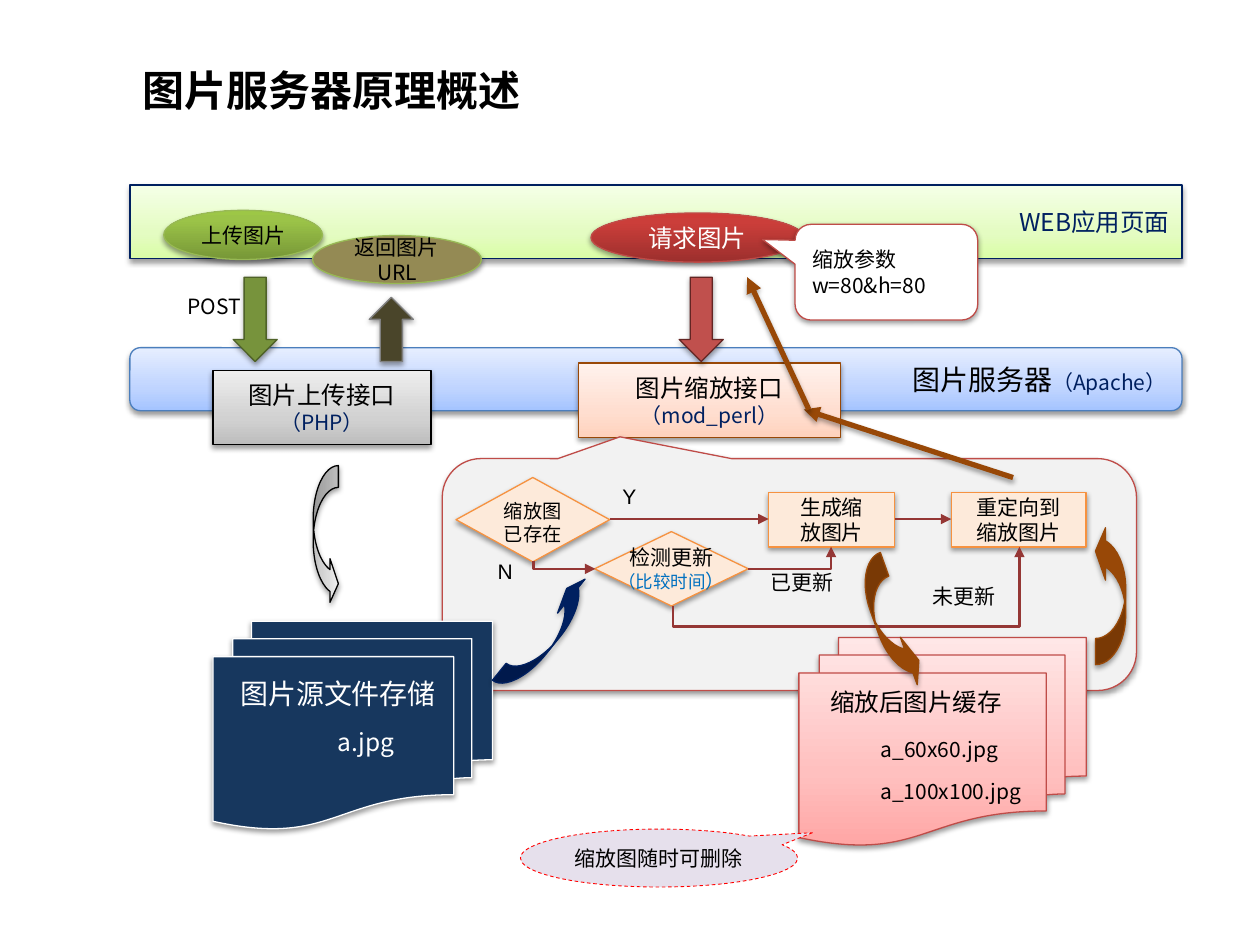
from copy import deepcopy
from typing import NamedTuple, Optional, Union

from lxml import etree
from pptx import Presentation
from pptx import util as u
from pptx.dml import color as dye
from pptx.enum import dml, shapes, text
from pptx.oxml import ns

Kind = shapes.MSO_SHAPE
Align = text.PP_ALIGN
Paint = Union[str, tuple]


class Theme(NamedTuple):
    """Colours, gradients (position, colour), faces and type sizes."""
    black: str = "000000"
    white: str = "FFFFFF"
    navy: str = "002060"
    blue: str = "0070C0"
    red: str = "BF4C48"
    wine: str = "953735"
    brown: str = "984807"
    cream: str = "FDEADA"
    amber: str = "F69240"
    olive: str = "98B955"
    sky: tuple = ((0, "A4C4FF"), (35, "BFD4FF"), (100, "E6EEFF"))
    peach: tuple = ((0, "FFD2BD"), (35, "FFDED0"), (100, "FFF2ED"))
    steel: tuple = ((0, "BDBDBD"), (35, "D1D1D1"), (100, "EEEEEE"))
    rose: tuple = ((0, "FFA6A5"), (35, "FFC0BF"), (100, "FFE7E7"))
    lime: tuple = ((0, "DAFDA7"), (35, "E4FCC2"), (100, "F5FFE7"))
    leaf: tuple = ((0, "779737"), (80, "9BC348"), (100, "9DC746"))
    blood: tuple = ((0, "9C2F2D"), (80, "CB3E3A"), (100, "CE3B37"))
    sans: str = "Noto Sans CJK SC"
    arial: str = "Arial"
    plain: str = "Calibri"
    title: int = 24
    head: int = 16
    mid: int = 14
    base: int = 12
    note: int = 11
    tiny: int = 10


T = Theme()


class Bit(NamedTuple):
    words: str
    size: int = T.base
    tint: str = T.black
    face: str = T.sans
    bold: bool = False
    join: bool = False


class Box(NamedTuple):
    """A shape, or a text box when kind is None."""
    at: tuple
    kind: Optional[Kind] = None
    fill: Paint = T.white
    edge: str = T.black
    bits: tuple = ()
    align: Align = Align.CENTER
    turn: float = 0
    bends: tuple = ()
    wrap: bool = True
    dash: bool = False


class Wire(NamedTuple):
    """A line with an arrowhead; bent when prst names a bent connector."""
    ends: tuple
    tint: str = T.wine
    width: float = 1.5
    prst: str = ""
    turn: int = 0
    flips: str = ""
    bend: Optional[int] = None


def tag(x: float, y: float, w: float, h: float, *bits: Bit,
        align: Align = Align.LEFT, wrap: bool = False) -> Box:
    return Box((x, y, w, h), bits=bits, align=align, wrap=wrap)


def curl(x: float, y: float, h: float, turn: float, paint: Paint, edge: str) -> Box:
    return Box((x, y, 79.9, h), Kind.CURVED_UP_ARROW, paint, edge,
               turn=turn, bends=(0.866, 1.732, 0.333))


def step(x: float, w: float, *lines: str) -> Box:
    return Box((x, 281.5, w, 31), Kind.FLOWCHART_PROCESS, T.cream, T.amber,
               tuple(Bit(line, face=T.arial) for line in lines))


def test(x: float, y: float, h: float) -> Box:
    return Box((x, y, 87.8, h), Kind.FLOWCHART_DECISION, T.cream, T.amber)


def mark(x: float, y: float, w: float, words: str) -> Box:
    return tag(x, y, w, 21.6, Bit(words, face=T.arial))


PARTS = [
    Box((74.2, 198.7, 601.2, 36), Kind.ROUNDED_RECTANGLE, T.sky, "4B7EBC",
        (Bit("图片服务器", T.head), Bit("（Apache）", tint=T.navy, join=True)), Align.RIGHT),
    Box((330.5, 207.4, 149.8, 42.5), Kind.RECTANGLE, T.peach, T.brown,
        (Bit("图片缩放接口", T.mid), Bit("（mod_perl）", tint=T.navy))),
    Box((252.7, 262.1, 396.7, 132.5), Kind.ROUNDED_RECTANGULAR_CALLOUT, "F2F2F2", T.red,
        bends=(-0.244, -0.594, 0.167)),
    Box((121.7, 211.7, 124.6, 42.5), Kind.RECTANGLE, T.steel, T.black,
        (Bit("图片上传接口", T.mid), Bit("（PHP）", tint=T.navy))),
    Box((456.5, 364.3, 164.2, 118.8), Kind.FLOWCHART_MULTIDOCUMENT, T.rose, T.red),
    Box((121.7, 355, 159.8, 118.8), Kind.FLOWCHART_MULTIDOCUMENT, "17375E", T.white),
    tag(74.2, 33.1, 512.6, 36, Bit("图片服务器原理概述", T.title, face=T.plain, bold=True), wrap=True),
    tag(130.3, 383, 127.4, 26.6, Bit("图片源文件存储", T.head, T.white)),
    Box((74.2, 105.8, 601.2, 41.8), Kind.RECTANGLE, T.lime, T.navy,
        (Bit("WEB应用页面", T.mid, T.navy),), Align.RIGHT),
    tag(467.3, 388.8, 113.8, 24.5, Bit("缩放后图片缓存", T.mid)),
    tag(496.1, 441.4, 96.5, 21.6, Bit("a_100x100.jpg")),
    tag(185.8, 411.8, 47.5, 24.5, Bit("a.jpg", T.mid, T.white)),
    tag(496.1, 417.6, 82.8, 21.6, Bit("a_60x60.jpg")),
    Box((93.6, 120.2, 90.7, 28.1), Kind.OVAL, T.leaf, T.olive, (Bit("上传图片"),)),
    Box((178.6, 134.6, 96.5, 27.4), Kind.OVAL, "948A54", T.olive, (Bit("返回图片URL"),)),
    curl(146.2, 298.8, 14.4, 90, T.steel, T.black),
    tag(100.1, 164.2, 45.4, 21.6, Bit("POST")),
    Box((211, 169.9, 25.2, 36.7), Kind.DOWN_ARROW, "4A452A", "808080", turn=180),
    Box((133.2, 158.4, 25.2, 48.2), Kind.DOWN_ARROW, "77933C", "4F6228"),
    Box((388.1, 158.4, 25.2, 48.2), Kind.DOWN_ARROW, "C0504D", "632523"),
    Box((337.7, 121.7, 121.7, 28.1), Kind.OVAL, T.blood, T.red, (Bit("请求图片", T.mid, T.white),)),
    Box((454.3, 128.2, 104.4, 54.7), Kind.ROUNDED_RECTANGULAR_CALLOUT, T.white, T.red,
        (Bit("缩放参数"), Bit("w=80&h=80")), Align.LEFT, bends=(-0.678, -0.341, 0.167)),
    step(439.2, 72, "生成缩", "放图片"),
    test(260.6, 272.9, 48.2),
    tag(280.8, 281.5, 47.5, 33.8, Bit("缩放图", T.note, face=T.plain),
        Bit("已存在", T.note, face=T.plain), align=Align.CENTER),
    test(339.8, 303.8, 42.5),
    tag(345.6, 307.4, 76.3, 36, Bit("检测更新", face=T.arial), Bit("（比较时间", T.tiny, T.blue, T.arial),
        Bit("）", T.note, T.blue, T.arial, join=True), align=Align.CENTER, wrap=True),
    step(543.6, 77, "重定向到", "缩放图片"),
    Wire((348.5, 296.6, 439.2, 296.6)),
    Wire((320.4, 305.3, 324.7, 340.6), prst="bentConnector2", turn=270, flips="H"),
    Wire((427.7, 312.5, 474.9, 325.1), prst="bentConnector2", flips="V"),
    Wire((466.6, 230.4, 500.4, 428.4), prst="bentConnector3", turn=90, flips="HV", bend=-34500),
    Wire((511.2, 296.6, 543.6, 296.6)),
    curl(272.2, 355, 14.4, 309, T.navy, T.navy),
    mark(348.5, 272.9, 20.9, "Y"),
    mark(277.2, 315.4, 20.9, "N"),
    mark(525.6, 329.8, 51.1, "未更新"),
    mark(433.4, 321.8, 51.1, "已更新"),
    curl(594.7, 331.2, 17.3, 270, T.brown, T.brown),
    curl(468.7, 347.8, 16.6, 70.4, T.brown, T.brown),
    Box((297.4, 473.8, 158.4, 33.1), Kind.OVAL_CALLOUT, "E6E0EC", "FF0000",
        (Bit("缩放图随时可删除"),), bends=(0.554, -0.438), dash=True),
    Wire((578.9, 272.9, 459.4, 234), T.brown, 3),
    Wire((462.2, 234, 427, 158.4), T.brown, 3),
]


def rgb(code: str) -> dye.RGBColor:
    return dye.RGBColor.from_string(code)


def add(host, label: str, /, **attrs):
    return etree.SubElement(host, ns.qn(label), {k: str(v) for k, v in attrs.items()})


def shade(effects) -> None:
    cast = add(effects, "a:outerShdw", blurRad=u.Pt(3.1), dist=u.Pt(1.6), dir=5400000, rotWithShape=0)
    add(add(cast, "a:srgbClr", val=T.black), "a:alpha", val=38000)


def fill(shape, paint: Paint) -> None:
    if isinstance(paint, str):
        shape.fill.solid()
        shape.fill.fore_color.rgb = rgb(paint)
        return
    shape.fill.gradient()
    shape.fill.gradient_angle = 90
    stops = shape._element.spPr.find(".//" + ns.qn("a:gsLst"))
    stops.append(deepcopy(stops[-1]))
    for stop, (place, tint) in zip(shape.fill.gradient_stops, paint):
        stop.position, stop.color.rgb = place / 100, rgb(tint)


def write(para, words: str, *, size: int, tint: str, face: str, bold: bool) -> None:
    run = para.add_run()
    run.text, font = words, run.font
    font.size, font.bold, font.name = u.Pt(size), bold, face
    font.color.rgb = rgb(tint)
    add(font._element, "a:ea", typeface=T.sans)


def style(shape, box: Box) -> None:
    for i, bend in enumerate(box.bends):
        shape.adjustments[i] = bend
    shape.rotation = box.turn
    fill(shape, box.fill)
    shape.line.color.rgb = rgb(box.edge)
    shape.line.width = u.Pt(0.5 if box.dash else 0.75)
    shape.shadow.inherit = False
    if box.dash:
        shape.line.dash_style = dml.MSO_LINE.DASH
    else:
        shade(shape._element.spPr.find(ns.qn("a:effectLst")))
    shape.text_frame.vertical_anchor = text.MSO_ANCHOR.MIDDLE


def draw(page, box: Box) -> None:
    at = [u.Pt(n) for n in box.at]
    if box.kind is None:
        shape = page.shapes.add_textbox(*at)
        shape.text_frame.auto_size = text.MSO_AUTO_SIZE.SHAPE_TO_FIT_TEXT
    else:
        shape = page.shapes.add_shape(box.kind, *at)
        style(shape, box)
    frame = shape.text_frame
    frame.word_wrap = box.wrap
    para = frame.paragraphs[0]
    for i, bit in enumerate(box.bits):
        if i and not bit.join:
            para = frame.add_paragraph()
        para.alignment = box.align
        write(para, bit.words, size=bit.size, tint=bit.tint, face=bit.face, bold=bit.bold)


def link(page, wire: Wire) -> None:
    form = shapes.MSO_CONNECTOR.ELBOW if wire.prst else shapes.MSO_CONNECTOR.STRAIGHT
    line = page.shapes.add_connector(form, *(u.Pt(n) for n in wire.ends))
    line.line.color.rgb = rgb(wire.tint)
    line.line.width = u.Pt(wire.width)
    props = line._element.spPr
    add(props.find(ns.qn("a:ln")), "a:tailEnd", type="triangle")
    effects = add(props, "a:effectLst")
    if wire.width > 2:
        shade(effects)
    if wire.prst:
        frame, geom = props.find(ns.qn("a:xfrm")), props.find(ns.qn("a:prstGeom"))
        frame.set("rot", str(wire.turn * 60000))
        for flip in wire.flips:
            frame.set("flip" + flip, "1")
        geom.set("prst", wire.prst)
        if wire.bend is not None:
            add(geom.find(ns.qn("a:avLst")), "a:gd", name="adj1", fmla=f"val {wire.bend}")


deck = Presentation()
deck.slide_width, deck.slide_height = u.Pt(720), u.Pt(540)
sheet = deck.slides.add_slide(deck.slide_layouts[6])
for part in PARTS:
    (draw if isinstance(part, Box) else link)(sheet, part)
deck.save("out.pptx")
